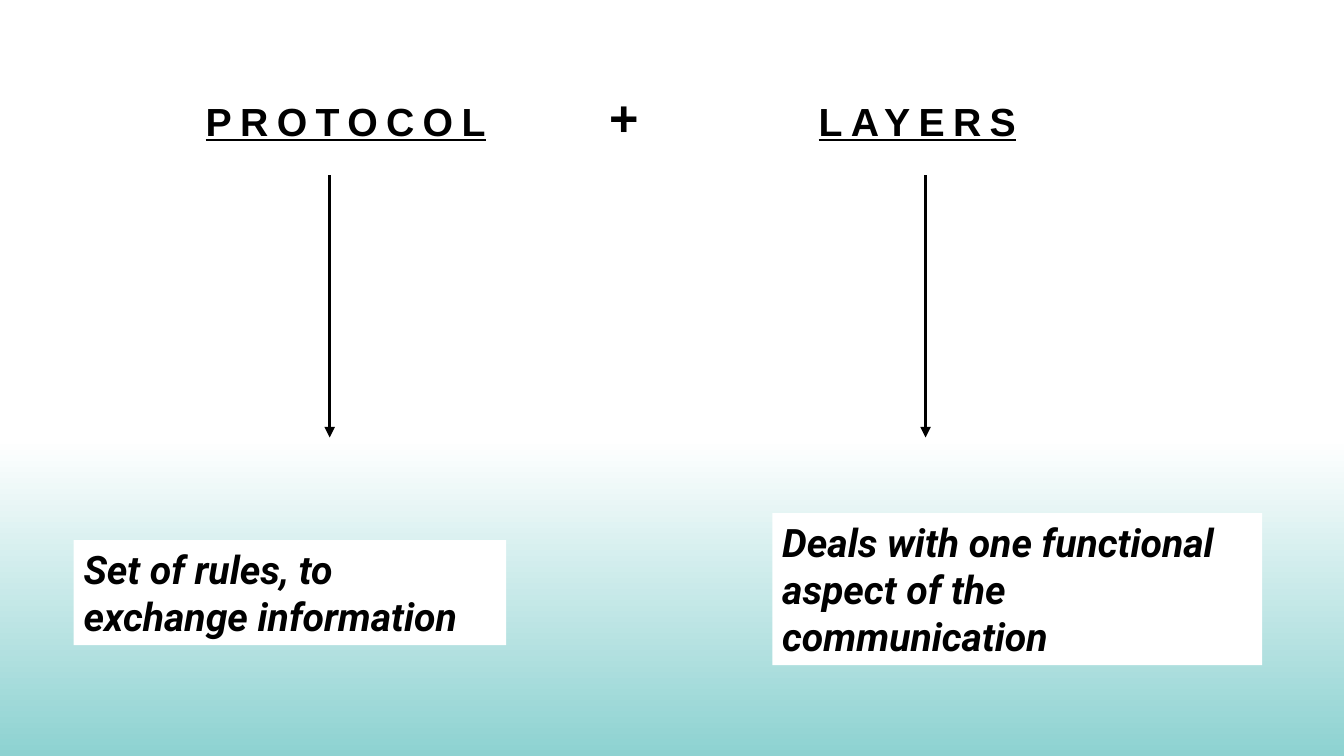
from lxml.etree import SubElement as Sub
from pptx import Presentation
from pptx.dml.color import RGBColor as Rgb
from pptx.enum.shapes import MSO_CONNECTOR as Link, MSO_SHAPE as Form
from pptx.enum.text import MSO_ANCHOR as Anchor, MSO_AUTO_SIZE as Fit, PP_ALIGN as Align
from pptx.oxml.ns import qn
from pptx.util import Inches, Pt

COLORS = {"ink": "000000", "paper": "FFFFFF", "teal": "8DD2D1"}


def color(name):
    return Rgb.from_string(COLORS[name])


class Page:
    head_font = "Arial"
    note_font = "Roboto"
    size = Pt(28)

    def __init__(self, deck):
        self.slide = deck.slides.add_slide(deck.slide_layouts[5])
        self.shapes = self.slide.shapes

    def rect(self, *box):
        shape = self.shapes.add_shape(Form.RECTANGLE, *map(Inches, box))
        shape.shadow.inherit = False
        shape.line.fill.background()
        return shape

    def font(self, para, name):
        font = para.font
        font.name, font.size, font.bold = name, self.size, True
        font.color.rgb = color("ink")
        return font

    def band(self, *box):
        shape = self.rect(*box)
        fill = shape.fill
        fill.gradient()
        fill.gradient_angle = 270
        for stop, (place, name) in zip(fill.gradient_stops, [(0.14, "paper"), (1, "teal")]):
            stop.position = place
            stop.color.rgb = color(name)
        tree = shape._element.getparent()
        tree.insert(2, shape._element)

    def title(self, parts, tabs, *box):
        title = self.shapes.title
        title.left, title.top, title.width, title.height = map(Inches, box)
        frame = title.text_frame
        frame.auto_size = Fit.NONE
        frame.vertical_anchor = Anchor.BOTTOM
        para = frame.paragraphs[0]
        para.alignment = Align.LEFT
        para.line_spacing = 1.2
        stops = Sub(para._p.get_or_add_pPr(), qn("a:tabLst"))
        for tab in tabs:
            Sub(stops, qn("a:tab"), pos=str(Inches(tab)), algn="l")
        self.font(para, self.head_font)
        for text, size, under in parts:
            run = para.add_run()
            run.text = text
            run.font.size = Pt(size)
            run.font.underline = under
            run.font._element.set("spc", "600")

    def arrow(self, x, top, end):
        line = self.shapes.add_connector(Link.STRAIGHT, *map(Inches, (x, top, x, end)))
        line.line.color.rgb = color("ink")
        line.line.width = Pt(2.5)
        Sub(line.line._get_or_add_ln(), qn("a:tailEnd"), type="triangle")
        Sub(line._element.spPr, qn("a:effectLst"))

    def note(self, text, *box):
        shape = self.rect(*box)
        shape.fill.solid()
        shape.fill.fore_color.rgb = color("paper")
        frame = shape.text_frame
        frame.word_wrap = True
        frame.auto_size = Fit.SHAPE_TO_FIT_TEXT
        frame.vertical_anchor = Anchor.TOP
        para = frame.paragraphs[0]
        para.text = text
        para.alignment = Align.LEFT
        self.font(para, self.note_font).italic = True


def main():
    deck = Presentation()
    deck.slide_width, deck.slide_height = Inches(13.33), Inches(7.5)
    page = Page(deck)
    page.band(0, 3.84, 13.33, 3.66)
    parts = [("PROTOCOL", 28, True), ("\t+\t", 36, False), ("LAYERS", 28, True)]
    page.title(parts, (4, 6.08), 1.94, 0.24, 11.25, 1.26)
    for x in (3.27, 9.18):
        page.arrow(x, 1.74, 4.34)
    page.note("Set of rules, to exchange information", 0.73, 5.36, 4.29, 1.04)
    page.note("Deals with one functional aspect of the communication", 7.66, 5.09, 4.86, 1.51)
    deck.save("out.pptx")


if __name__ == "__main__":
    main()
